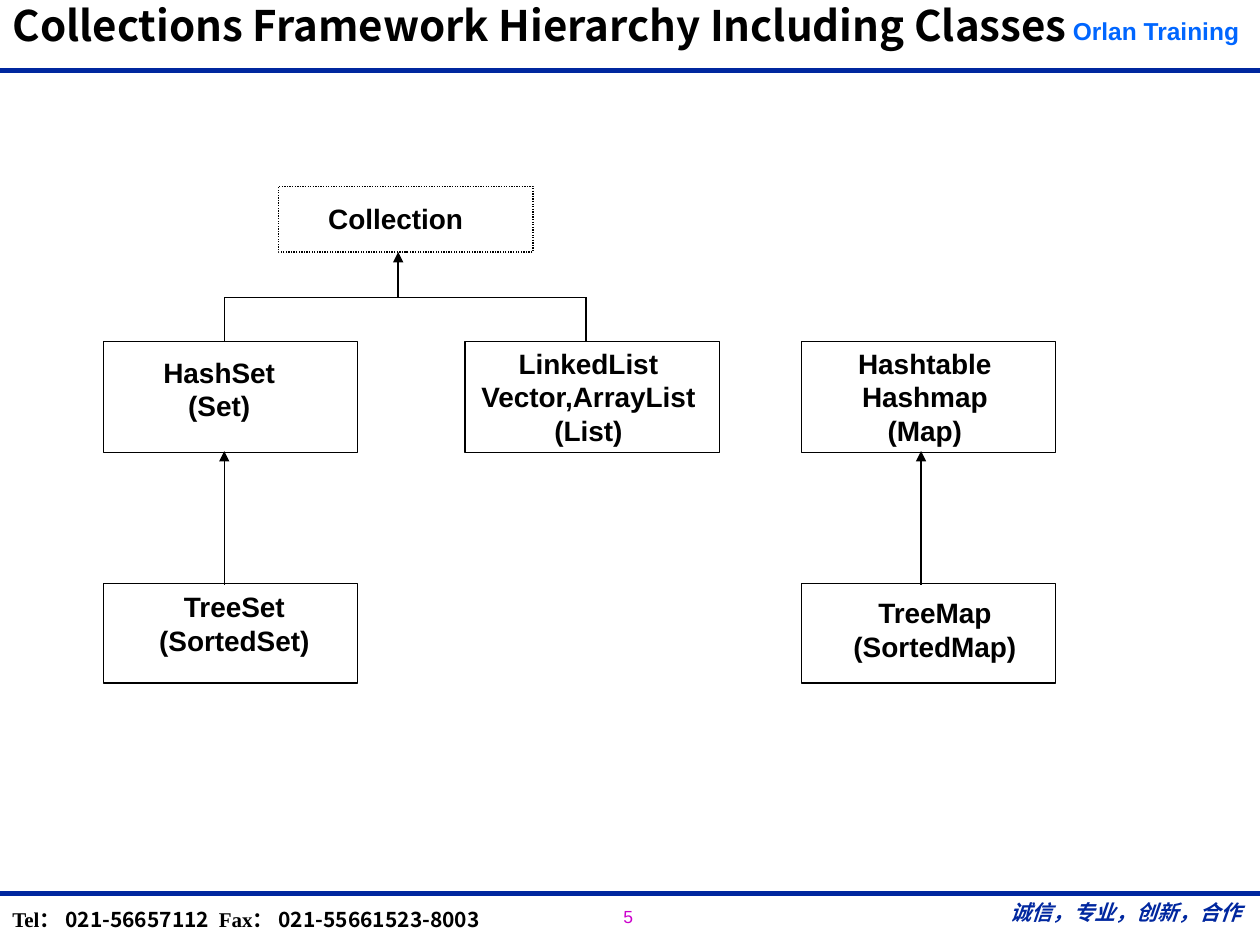
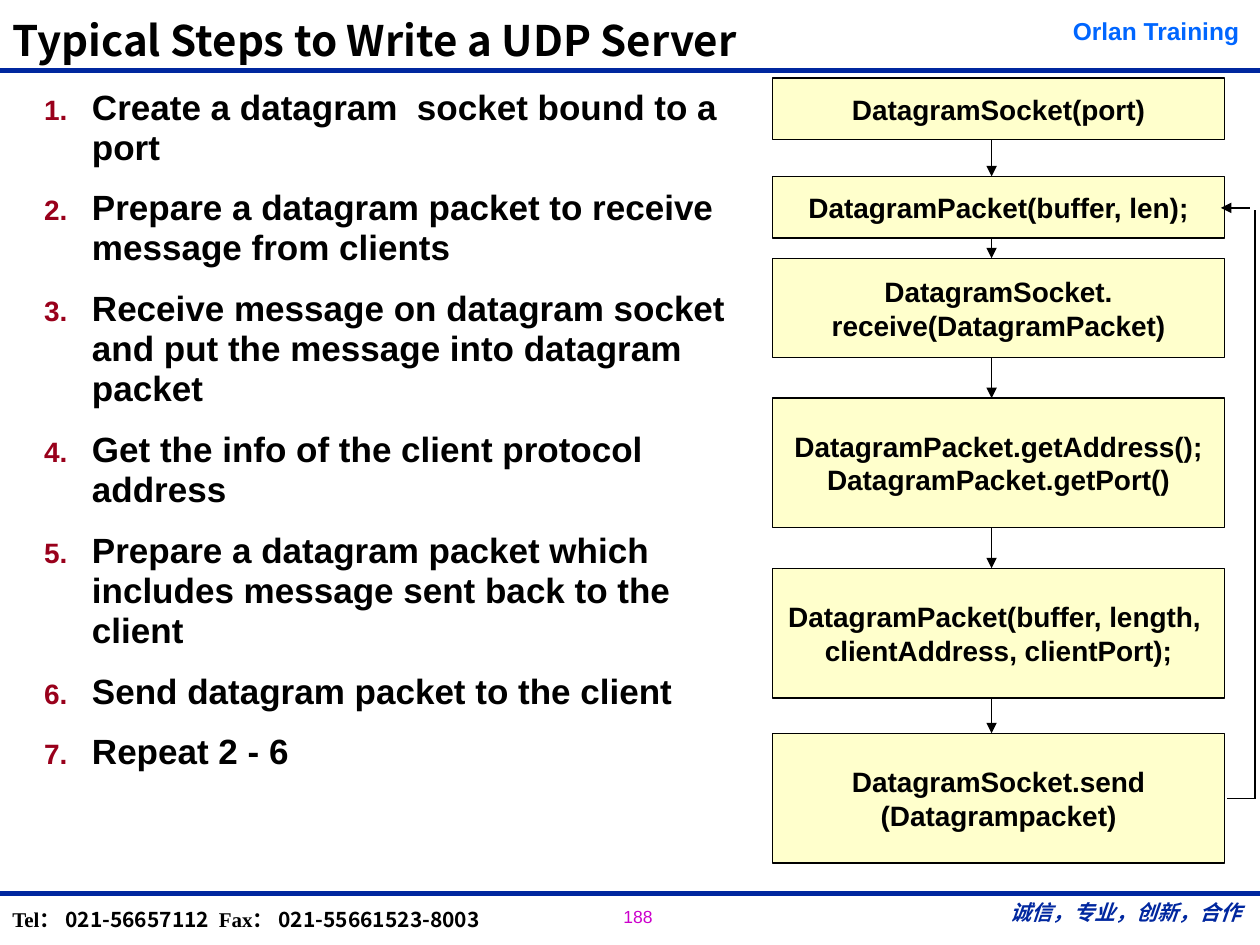
"""Build two Java training slides: a class tree and the steps of a UDP server."""
from itertools import pairwise
from lxml import etree
from pptx import Presentation, util as u
from pptx.dml.color import RGBColor
from pptx.enum import dml, shapes, text
from pptx.oxml import ns

THEME = {
    "ink": "000000", "rule": "00279F", "brand": "0066FF", "page": "CC00CC",
    "count": "99001B", "fill": "FFFFCC",
    "sans": "Arial", "cjk": "Noto Sans CJK SC", "serif": "Times New Roman",
    "head": 24, "list": 20, "node": 16, "name": 14, "foot": 12, "num": 10,
    "thin": 0.75, "thick": 2.75,
}
LEFT, MID = text.PP_ALIGN.LEFT, text.PP_ALIGN.CENTER
BOLD = {"bold": True}
NODE = ("node", "sans", "ink", BOLD)
FOOT = ("foot", "serif", "ink", BOLD)
DIAL = ("foot", "cjk", "ink", BOLD)
MOTTO = {"bold": True, "italic": True}

BRAND = [("Orlan Training", "name", "sans", "brand", BOLD)]
VALUES = [(" ", 18, "serif", "rule", MOTTO),
          ("诚信，专业，创新，合作", "foot", "serif", "rule", MOTTO)]
PHONE = [("Tel： ", *FOOT), ("021-56657112", *DIAL),
         (" ", 24, "cjk", "ink", MOTTO),
         ("Fax： ", *FOOT), ("021-55661523-8003", *DIAL)]

TREE = {
    "title": "Collections Framework Hierarchy Including Classes",
    "page": "5",
    "nodes": [
        (2.21, 1.48, 0.52, 3.14, 1.55, ["Collection"]),
        (0.82, 2.71, 0.88, 1.74, 2.77, ["HashSet", "(Set)"]),
        (3.69, 2.71, 0.88, 4.67, 2.7,
         ["LinkedList", "Vector,ArrayList", "(List)"]),
        (6.36, 2.71, 0.88, 7.34, 2.7, ["Hashtable", "Hashmap", "(Map)"]),
        (0.82, 4.63, 0.79, 1.86, 4.63, ["TreeSet", "(SortedSet)"]),
        (6.36, 4.63, 0.79, 7.42, 4.68, ["TreeMap", "(SortedMap)"]),
    ],
    "wires": [(1.78, 2.36, 4.65, 2.36), (4.65, 2.36, 4.65, 2.71),
              (1.78, 2.36, 1.78, 2.71)],
    "links": [(3.16, 2.36, 3.16, 2), (1.78, 4.64, 1.78, 3.58),
              (7.31, 4.64, 7.31, 3.58)],
}
FLOW = {
    "title": "Typical Steps to Write a UDP Server",
    "page": "188",
    "steps": [
        "Create a datagram  socket bound to a port",
        "Prepare a datagram packet to receive message from clients",
        "Receive message on datagram socket and put the message into datagram packet",
        "Get the info of the client protocol address",
        "Prepare a datagram packet which includes message sent back to the client",
        "Send datagram packet to the client",
        "Repeat 2 - 6",
    ],
    "calls": [
        (0.62, 0.49, ["DatagramSocket(port)"]),
        (1.4, 0.49, ["DatagramPacket(buffer, len);"]),
        (2.05, 0.79, ["DatagramSocket.", "receive(DatagramPacket)"]),
        (3.16, 1.03, ["DatagramPacket.getAddress();",
                      "DatagramPacket.getPort()"]),
        (4.51, 1.03, ["DatagramPacket(buffer, length, ",
                      "clientAddress, clientPort);"]),
        (5.82, 1.03, ["DatagramSocket.send", "(Datagrampacket)"]),
    ],
    "wires": [(9.74, 6.34, 9.97, 6.34), (9.96, 6.34, 9.96, 1.67)],
    "back": (9.92, 1.65, 9.69, 1.65),
}


def put(item, vals):
    """Set each named value on an item."""
    for key, val in vals.items():
        setattr(item, key, val)


def place(item, *box):
    """Move an item to left, top, width and height in inches."""
    put(item, dict(zip(("left", "top", "width", "height"), map(u.Inches, box))))


def tint(name):
    """Return a theme colour."""
    return RGBColor.from_string(THEME[name])


def add(node, tag, **vals):
    """Append an XML child with the given attributes."""
    return etree.SubElement(node, ns.qn(tag), vals)


def style(run, size, face, hue, looks):
    """Format one run from the theme."""
    put(run.font, {"size": u.Pt(THEME.get(size, size)),
                   "name": THEME[face], **looks})
    run.font.color.rgb = tint(hue)
    add(run.font._element, "a:ea", typeface=THEME["cjk"])


def write(frame, rows, align=MID, wrap=False, anchor=text.MSO_ANCHOR.TOP):
    """Fill a text frame with rows of formatted runs."""
    put(frame, {"word_wrap": wrap, "vertical_anchor": anchor,
                "auto_size": text.MSO_AUTO_SIZE.NONE})
    for i, row in enumerate(rows):
        para = frame.add_paragraph() if i else frame.paragraphs[0]
        para.alignment = align
        for words, *form in row:
            run = para.add_run()
            run.text = words
            style(run, *form)


def label(slide, box, rows, **form):
    """Add a text box."""
    item = slide.shapes.add_textbox(*map(u.Inches, box))
    write(item.text_frame, rows, **form)


def line(slide, ends, hue="ink", width="thin", tip=False):
    """Draw a straight line, with an arrowhead if asked."""
    item = slide.shapes.add_connector(shapes.MSO_CONNECTOR.STRAIGHT,
                                      *map(u.Inches, ends))
    item.line.color.rgb = tint(hue)
    item.line.width = u.Pt(THEME[width])
    props = item._element.spPr
    if tip:
        add(props.find(ns.qn("a:ln")), "a:tailEnd", type="triangle")
    add(props, "a:effectLst")


def block(slide, *box, fill=None):
    """Draw a thin-lined rectangle."""
    item = slide.shapes.add_shape(shapes.MSO_SHAPE.RECTANGLE,
                                  *map(u.Inches, box))
    item.shadow.inherit = False
    if fill:
        item.fill.solid()
        item.fill.fore_color.rgb = tint(fill)
    else:
        item.fill.background()
    item.line.color.rgb = tint("ink")
    item.line.width = u.Pt(THEME["thin"])
    return item


def start(deck, layout, data, box, anchor):
    """Add a slide with its title, rules, brand and footer."""
    slide = deck.slides.add_slide(deck.slide_layouts[layout])
    title = slide.shapes.title
    place(title, *box)
    write(title.text_frame, [[(data["title"], "head", "cjk", "ink", BOLD)]],
          align=LEFT, wrap=True, anchor=anchor)
    title.text_frame.paragraphs[0].line_spacing = 0.87
    for y in (0.56, 7.09):
        line(slide, (0, y, 10, y), "rule", "thick")
    label(slide, (4.85, 7.14, 0.83, 0.26),
          [[(data["page"], "num", "sans", "page", {})]], align=LEFT)
    label(slide, (7.84, 7.01, 2.14, 0.4), [VALUES], wrap=True)
    label(slide, (0, 6.98, 4.29, 0.5), [PHONE], align=LEFT, wrap=True)
    label(slide, (8.38, 0.08, 1.59, 0.33), [BRAND], wrap=True)
    return slide


def tree(deck):
    """Build the class tree slide."""
    slide = start(deck, 5, TREE, (0, 0, 10, 0.79), text.MSO_ANCHOR.TOP)
    wide = 1.92
    for i, (x, y, high, mid, top, names) in enumerate(TREE["nodes"]):
        item = block(slide, x, y, 2.02, high)
        if i == 0:
            item.line.dash_style = dml.MSO_LINE.ROUND_DOT
        label(slide, (mid - wide / 2, top, wide, 0.1 + 0.27 * len(names)),
              [[(name, *NODE)] for name in names])
    for ends in TREE["wires"]:
        line(slide, ends)
    for ends in TREE["links"]:
        line(slide, ends, tip=True)


def steps(slide):
    """Fill the body with the numbered steps."""
    body = slide.placeholders[1]
    place(body, 0, 0.64, 5.93, 6.37)
    write(body.text_frame,
          [[(step, "list", "sans", "ink", BOLD)] for step in FLOW["steps"]],
          align=LEFT, wrap=True)
    for i, para in enumerate(body.text_frame.paragraphs):
        put(para, {"line_spacing": u.Pt(22.9), "space_after": u.Pt(5.9),
                   "space_before": u.Pt(5.9 if i else 0)})
        props = para._p.get_or_add_pPr()
        props.set("marL", str(u.Inches(0.63)))
        props.set("indent", str(u.Inches(-0.38)))
        add(add(props, "a:buClr"), "a:srgbClr", val=THEME["count"])
        add(props, "a:buSzPct", val="80000")
        add(props, "a:buFont", typeface=THEME["sans"])
        add(props, "a:buAutoNum", type="arabicPeriod")


def flow(deck):
    """Build the UDP server slide."""
    slide = start(deck, 1, FLOW, (0, 0, 8.34, 0.57), text.MSO_ANCHOR.BOTTOM)
    steps(slide)
    for y, high, calls in FLOW["calls"]:
        item = block(slide, 6.13, y, 3.59, high, fill="fill")
        write(item.text_frame, [[(call, *NODE)] for call in calls],
              anchor=text.MSO_ANCHOR.MIDDLE)
    for (y, high, _), (below, *_) in pairwise(FLOW["calls"]):
        line(slide, (7.87, y + high, 7.87, below), tip=True)
    for ends in FLOW["wires"]:
        line(slide, ends)
    line(slide, FLOW["back"], tip=True)


def main():
    """Make the deck and save it."""
    deck = Presentation()
    put(deck, {"slide_width": u.Inches(10), "slide_height": u.Inches(7.5)})
    tree(deck)
    flow(deck)
    deck.save("out.pptx")


if __name__ == "__main__":
    main()
